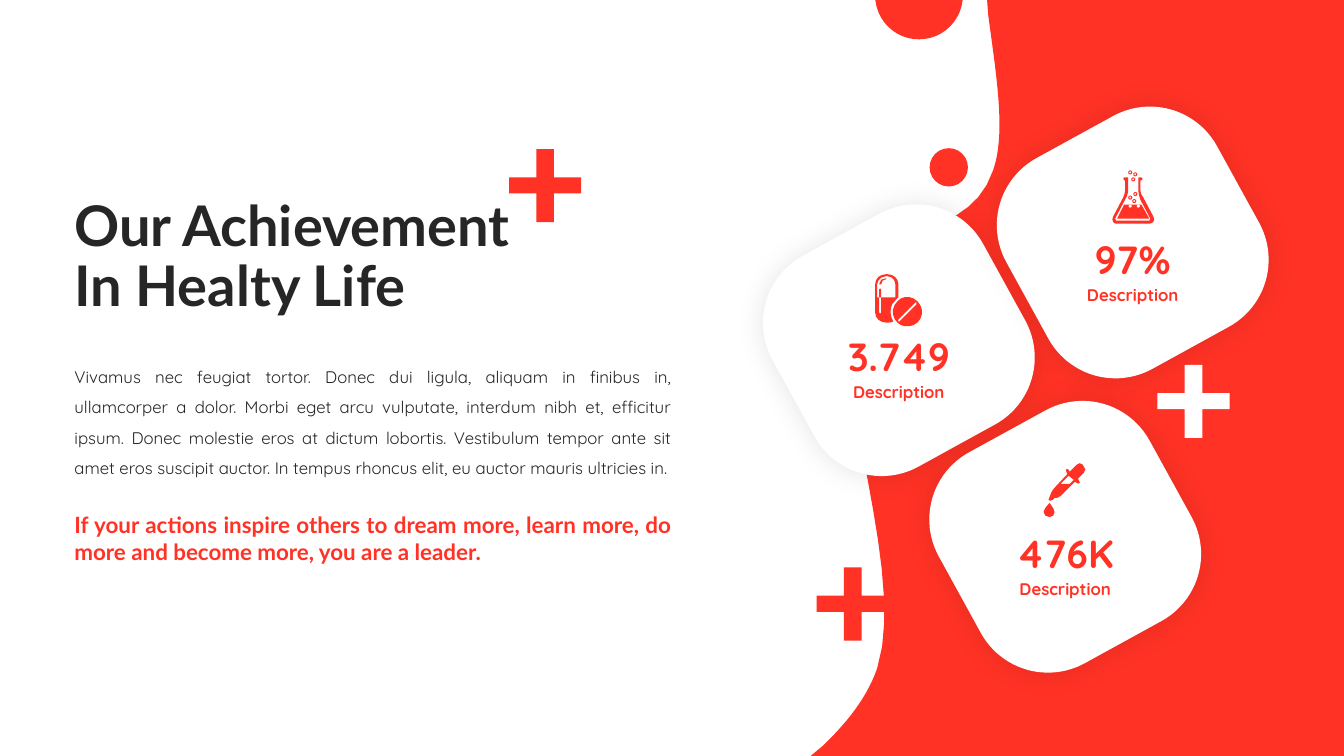
import math

from lxml import etree
from pptx import Presentation
from pptx import util as u
from pptx.dml.color import RGBColor
from pptx.enum import shapes, text
from pptx.oxml.ns import qn

# Grid: square cells, 1333 columns by 750 rows
COLUMNS, ROWS = 1333, 750
CELL = u.Inches(0.01)

RED = RGBColor(0xFF, 0x32, 0x25)
WHITE = RGBColor(0xFF, 0xFF, 0xFF)
DARK = RGBColor(0x26, 0x26, 0x26)

HEADING_FONT, BODY_FONT = "Lato", "Quicksand"
CARD_SIDE, CARD_TILT, CARD_ROUNDING = 238.5, -28.8, 0.318

# Outlines: a pair is a corner, six numbers are a curve (two handles, end)
PANEL = [[
    (979, 0), (1333, 0), (1333, 750), (804, 750), (816, 740),
    (840, 717, 860, 692, 870, 663), (900, 569, 824, 381, 843, 298),
    (863, 216, 960, 244, 985, 169), (998, 132, 988, 74, 980, 14)]]

PILLS = [
    [(879, 276), (879, 277), (876, 277, 874, 279, 874, 282),
     (872, 282), (872, 278, 875, 276, 879, 276)],
    [(886, 319), (885, 320, 882, 320, 880, 320), (879, 320),
     (873, 320, 868, 316, 868, 310), (868, 282),
     (868, 276, 873, 272, 879, 272), (880, 272),
     (886, 272, 891, 276, 891, 282), (891, 295),
     (890, 296, 889, 297, 888, 298), (882, 303, 882, 312, 886, 319)],
    [(888, 295), (888, 282), (888, 278, 885, 274, 880, 274), (879, 274),
     (874, 274, 870, 278, 870, 282), (870, 295), (872, 295), (872, 310),
     (872, 311.5, 874, 311.5, 874, 310), (874, 295)],
    [(872, 287), (872, 295), (874, 295), (874, 287),
     (874, 286, 872, 286, 872, 287)],
    [(910, 320), (904, 325, 895, 325, 890, 320),
     (884, 314, 884, 305, 890, 299), (895, 293, 904, 293, 910, 299),
     (916, 305, 916, 314, 910, 320)],
    [(909, 300), (908, 300), (891, 317), (891, 319), (892, 319), (909, 302)]]

DROPPER = [
    [(1075, 463), (1074, 461), (1072, 459, 1070, 459, 1068, 461),
     (1061, 468), (1060, 466), (1059, 465, 1058, 465, 1057, 466),
     (1058, 469), (1059, 470), (1045, 485), (1043, 488), (1041, 493),
     (1040, 496), (1041, 497, 1042, 497, 1044, 496), (1046, 494), (1048, 494),
     (1049, 494, 1051, 493, 1052, 492), (1066, 478), (1068, 479),
     (1068, 480, 1070, 480, 1071, 479), (1070, 476),
     (1069, 475), (1075, 469), (1077, 467, 1077, 464, 1075, 463)],
    [(1061, 480), (1052, 480), (1060, 472), (1065, 476)],
    [(1041, 499), (1041, 499, 1046, 505, 1046, 508),
     (1046, 511, 1044, 513, 1041, 513), (1038, 513, 1035, 511, 1035, 508),
     (1035, 505, 1041, 499, 1041, 499)]]

FLASK = [
    [(1144, 220), (1143, 221, 1142, 222, 1140, 222), (1107, 222),
     (1106, 222, 1104, 221, 1104, 220), (1103, 219, 1103, 217, 1104, 215),
     (1114, 196), (1115, 194, 1116, 191, 1116, 188), (1116, 179),
     (1115, 179), (1114, 178, 1114, 177, 1115, 176), (1119, 176),
     (1119, 188), (1119, 191, 1118, 195, 1116, 198), (1106, 217),
     (1107, 219), (1140, 219), (1141, 217), (1131, 198),
     (1130, 195, 1129, 191, 1129, 188), (1129, 176), (1132, 176),
     (1134, 177, 1134, 178, 1132, 179), (1131, 179), (1131, 188),
     (1131, 191, 1132, 194, 1134, 196), (1144, 215),
     (1145, 217, 1145, 219, 1144, 220)],
    [(1123, 203), (1132, 203), (1140, 217), (1108, 217), (1115, 203)]]
LIQUID_BUBBLES = [(1121, 204.5), (1129, 204.5)]
BUBBLES = [(1125, 199.5), (1126, 192.5), (1126, 173),
           (1121, 196), (1121, 171), (1124, 178)]

# Each card: centre column, centre row, value
CARDS = [(891.5, 337.5, "3.749"), (1056.5, 532.5, "476K"), (1123.5, 240.5, "97%")]


def cells(count):
    return u.Emu(round(count * CELL))


def paint(shape, colour):
    shape.shadow.inherit = False
    shape.fill.solid()
    shape.fill.fore_color.rgb = colour
    shape.line.fill.background()


def flatten(outline):
    """Turn corners and curves into points, with more points on longer curves."""
    points = []
    for item in outline:
        if len(item) == 2:
            points.append(item)
            continue
        corners = [points[-1], item[0:2], item[2:4], item[4:6]]
        steps = min(14, max(2, round(math.dist(corners[0], corners[3]) / 4)))
        for step in range(1, steps + 1):
            t = step / steps
            weights = [math.comb(3, k) * t**k * (1 - t)**(3 - k) for k in range(4)]
            points.append(tuple(sum(w * c[axis] for w, c in zip(weights, corners))
                                for axis in (0, 1)))
    return [(cells(column), cells(row)) for column, row in points]


def add_outline(slide, outlines, colour):
    contours = [flatten(outline) for outline in outlines]
    builder = slide.shapes.build_freeform(*contours[0][0], scale=1.0)
    builder.add_line_segments(contours[0][1:], close=True)
    for contour in contours[1:]:
        builder.move_to(*contour[0])
        builder.add_line_segments(contour[1:], close=True)
    paint(builder.convert_to_shape(), colour)


def add_plus(slide, left, top, colour):
    x0, x1, x2, x3 = (left + step for step in (0, 27, 44.5, 71.5))
    y0, y1, y2, y3 = (top + step for step in (0, 28, 44, 72.5))
    add_outline(slide, [[(x1, y0), (x2, y0), (x2, y1), (x3, y1), (x3, y2), (x2, y2),
                         (x2, y3), (x1, y3), (x1, y2), (x0, y2), (x0, y1), (x1, y1)]],
                colour)


def add_preset(slide, preset, column, row, side, colour):
    """Add a square preset shape around a centre."""
    shape = slide.shapes.add_shape(preset, cells(column - side / 2),
                                   cells(row - side / 2), cells(side), cells(side))
    paint(shape, colour)
    return shape


def add_glow(shape):
    effects = shape._element.spPr.find(qn("a:effectLst"))
    shadow = etree.SubElement(effects, qn("a:outerShdw"), blurRad=str(u.Pt(20)),
                              dist="0", algn="ctr", rotWithShape="0")
    colour = etree.SubElement(shadow, qn("a:srgbClr"), val="000000")
    etree.SubElement(colour, qn("a:alpha"), val="10000")


def add_text(slide, box, words, font, size, colour, bold=True, spacing=None,
             align=text.PP_ALIGN.LEFT, anchor=text.MSO_ANCHOR.TOP):
    frame = slide.shapes.add_textbox(*map(cells, box)).text_frame
    frame.word_wrap = True
    frame.vertical_anchor = anchor
    paragraph = frame.paragraphs[0]
    paragraph.text = words
    paragraph.alignment = align
    paragraph.line_spacing = spacing
    paragraph.font.name = font
    paragraph.font.size = u.Pt(size)
    paragraph.font.bold = bold
    paragraph.font.color.rgb = colour


def add_card(slide, column, row, value):
    card = add_preset(slide, shapes.MSO_SHAPE.ROUNDED_RECTANGLE, column, row,
                      CARD_SIDE, WHITE)
    card.adjustments[0] = CARD_ROUNDING
    card.rotation = CARD_TILT
    add_glow(card)
    for words, size, width, height, drop in (("Description", 12, 126, 30, 51.5),
                                             (value, 28, 151, 57, 16)):
        box = (column - width / 2, row + drop - height / 2, width, height)
        add_text(slide, box, words, BODY_FONT, size, RED,
                 align=text.PP_ALIGN.CENTER, anchor=text.MSO_ANCHOR.MIDDLE)


def main():
    presentation = Presentation()
    presentation.slide_width = cells(COLUMNS)
    presentation.slide_height = cells(ROWS)
    slide = presentation.slides.add_slide(presentation.slide_layouts[6])

    # Red side panel and cards
    add_outline(slide, PANEL, RED)
    for card in CARDS:
        add_card(slide, *card)

    # Decoration
    for left, top, colour in ((1148, 362, WHITE), (810, 563, RED), (505, 148, RED)):
        add_plus(slide, left, top, colour)
    for column, row, side in ((941, 166, 38), (911.5, -4.5, 87)):
        add_preset(slide, shapes.MSO_SHAPE.OVAL, column, row, side, RED)

    # Title and copy
    add_text(slide, (64, 184, 508, 145), "Our Achievement In Healty Life",
             HEADING_FONT, 40, DARK, spacing=0.9, anchor=text.MSO_ANCHOR.MIDDLE)
    add_text(slide, (64, 349, 612, 131),
             "Vivamus nec feugiat tortor. Donec dui ligula, aliquam in finibus in, "
             "ullamcorper a dolor. Morbi eget arcu vulputate, interdum nibh et, efficitur "
             "ipsum. Donec molestie eros at dictum lobortis. Vestibulum tempor ante sit "
             "amet eros suscipit auctor. In tempus rhoncus elit, eu auctor mauris "
             "ultricies in.",
             BODY_FONT, 12, DARK, bold=False, spacing=1.5, align=text.PP_ALIGN.JUSTIFY)
    add_text(slide, (64, 502, 612, 64),
             "If your actions inspire others to dream more, learn more, do more and "
             "become more, you are a leader.",
             HEADING_FONT, 16, RED, align=text.PP_ALIGN.JUSTIFY)

    # Card icons
    for icon in (FLASK, DROPPER, PILLS):
        add_outline(slide, icon, RED)
    for column, row in LIQUID_BUBBLES:
        add_preset(slide, shapes.MSO_SHAPE.OVAL, column, row, 3, WHITE)
    for column, row in BUBBLES:
        add_preset(slide, shapes.MSO_SHAPE.DONUT, column, row, 4, RED)

    presentation.save("out.pptx")


if __name__ == "__main__":
    main()
